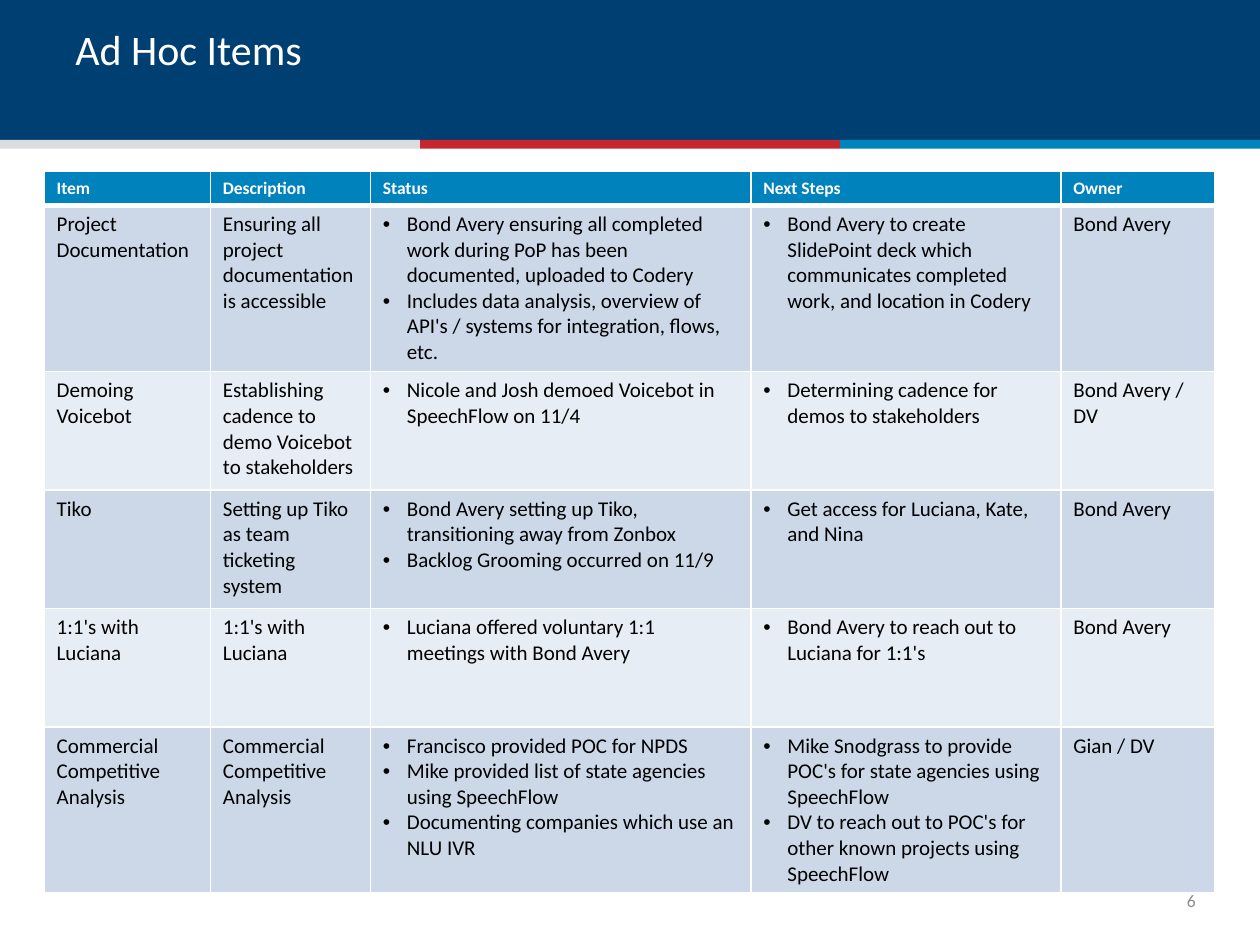
from dataclasses import dataclass

from lxml import etree
from pptx import Presentation
from pptx.dml.color import RGBColor
from pptx.enum.shapes import MSO_SHAPE
from pptx.enum.text import MSO_ANCHOR, PP_ALIGN
from pptx.oxml.ns import qn
from pptx.util import Inches, Pt

RECT = MSO_SHAPE.RECTANGLE
TOP, MIDDLE = MSO_ANCHOR.TOP, MSO_ANCHOR.MIDDLE
LEFT, RIGHT = PP_ALIGN.LEFT, PP_ALIGN.RIGHT

NAVY = RGBColor(0x00, 0x3F, 0x72)
SILVER = RGBColor(0xDB, 0xDC, 0xDE)
RED = RGBColor(0xC6, 0x26, 0x2D)
BLUE = RGBColor(0x00, 0x82, 0xBD)
WHITE = RGBColor(0xFF, 0xFF, 0xFF)
BLACK = RGBColor(0x00, 0x00, 0x00)
GRAY = RGBColor(0x8C, 0x8C, 0x8C)
BANDS = (RGBColor(0xCC, 0xD8, 0xE8), RGBColor(0xE7, 0xED, 0xF4))

FONT = "Calibri"
WIDE, HIGH = 10, 7.5
INDENT = Inches(0.19)
COLS = (1.32, 1.27, 3.02, 2.46, 1.22)
HEADS = ("Item", "Description", "Status", "Next Steps", "Owner")
HEAD_ROW = 0.27


@dataclass
class Entry:
    item: str
    about: list[str]
    status: list[str]
    steps: list[str]
    owner: str
    height: float = 0.94


ENTRIES = [
    Entry("Project Documentation",
          ["Ensuring all project documentation is accessible"],
          ["Bond Avery ensuring all completed work during PoP has been "
           "documented, uploaded to Codery",
           "Includes data analysis, overview of API's / systems for "
           "integration, flows, etc."],
          ["Bond Avery to create SlidePoint deck which communicates "
           "completed work, and location in Codery"],
          "Bond Avery", 1.32),
    Entry("Demoing Voicebot",
          ["Establishing cadence to demo Voicebot to stakeholders"],
          ["Nicole and Josh demoed Voicebot in SpeechFlow on 11/4"],
          ["Determining cadence for demos to stakeholders"],
          "Bond Avery / DV"),
    Entry("Tiko",
          ["Setting up Tiko as team ticketing system"],
          ["Bond Avery setting up Tiko, transitioning away from Zonbox",
           "Backlog Grooming occurred on 11/9"],
          ["Get access for Luciana, Kate, and Nina"],
          "Bond Avery"),
    Entry("1:1's with Luciana",
          ["1:1's with Luciana"],
          ["Luciana offered voluntary 1:1 meetings with Bond Avery"],
          ["Bond Avery to reach out to Luciana for 1:1's"],
          "Bond Avery"),
    Entry("Commercial Competitive Analysis",
          ["Commercial", "Competitive", "Analysis"],
          ["Francisco provided POC for NPDS",
           "Mike provided list of state agencies using SpeechFlow",
           "Documenting companies which use an NLU IVR"],
          ["Mike Snodgrass to provide POC's for state agencies using "
           "SpeechFlow",
           "DV to reach out to POC's for other known projects using "
           "SpeechFlow"],
          "Gian / DV", 1.32),
]


def bar(slide, x: float, y: float, w: float, h: float, color: RGBColor):
    shape = slide.shapes.add_shape(RECT, *map(Inches, (x, y, w, h)))
    shape.shadow.inherit = False
    shape.fill.solid()
    shape.fill.fore_color.rgb = color
    shape.line.fill.background()


def style(para, size: float, color: RGBColor, bold: bool = False):
    for run in para.runs:
        run.font.name = FONT
        run.font.size = Pt(size)
        run.font.bold = bold
        run.font.color.rgb = color


def label(slide, text: str, box: tuple, size: float, color: RGBColor,
          align=LEFT, anchor=TOP, inset: float | None = None):
    frame = slide.shapes.add_textbox(*map(Inches, box)).text_frame
    frame.word_wrap = True
    frame.vertical_anchor = anchor
    if inset is not None:
        frame.margin_left = frame.margin_right = Inches(inset)
        frame.margin_top = frame.margin_bottom = Inches(inset)
    frame.text = text
    frame.paragraphs[0].alignment = align
    style(frame.paragraphs[0], size, color)


def border(cell, top: float, bottom: float):
    props = cell._tc.get_or_add_tcPr()
    for tag, width in (("lnL", 1), ("lnR", 1), ("lnT", top), ("lnB", bottom)):
        line = etree.SubElement(props, qn(f"a:{tag}"), w=str(Pt(width)))
        fill = etree.SubElement(line, qn("a:solidFill"))
        etree.SubElement(fill, qn("a:srgbClr"), val=str(WHITE))


def bullet(para):
    props = para._p.get_or_add_pPr()
    props.set("marL", str(INDENT))
    props.set("indent", str(-INDENT))
    etree.SubElement(props, qn("a:buFont"), typeface="Arial")
    etree.SubElement(props, qn("a:buChar"), char="•")


def fill_cell(cell, lines: list[str], back: RGBColor, size: float,
              color: RGBColor, bold: bool = False, dots: bool = False,
              top: float = 1, bottom: float = 1):
    border(cell, top, bottom)
    cell.fill.solid()
    cell.fill.fore_color.rgb = back
    cell.text_frame.text = "\n".join(lines)
    for para in cell.text_frame.paragraphs:
        style(para, size, color, bold)
        if dots:
            bullet(para)


def draw_table(slide):
    high = HEAD_ROW + sum(entry.height for entry in ENTRIES)
    box = map(Inches, (0.35, 1.36, sum(COLS), high))
    table = slide.shapes.add_table(len(ENTRIES) + 1, len(COLS), *box).table
    for col, width in zip(table.columns, COLS):
        col.width = Inches(width)
    table.rows[0].height = Inches(HEAD_ROW)
    for c, head in enumerate(HEADS):
        fill_cell(table.cell(0, c), [head], BLUE, 10, WHITE, bold=True,
                  bottom=3)
    for r, entry in enumerate(ENTRIES, 1):
        table.rows[r].height = Inches(entry.height)
        parts = ([entry.item], entry.about, entry.status, entry.steps,
                 [entry.owner])
        for c, lines in enumerate(parts):
            fill_cell(table.cell(r, c), lines, BANDS[(r - 1) % 2], 12, BLACK,
                      dots=c in (2, 3), top=3 if r == 1 else 1)


def main():
    deck = Presentation()
    deck.slide_width, deck.slide_height = Inches(WIDE), Inches(HIGH)
    slide = deck.slides.add_slide(deck.slide_layouts[6])

    # Banner with a three-colour stripe
    bar(slide, 0, 0, WIDE, 1.14, NAVY)
    third = WIDE / 3
    for i, color in enumerate((SILVER, RED, BLUE)):
        bar(slide, i * third, 1.11, third, 0.07, color)
    label(slide, "Ad Hoc Items", (0.5, 0.14, 9, 0.89), 24, WHITE)

    # Page number and item table
    label(slide, "6", (9.22, 6.95, 0.27, 0.4), 10, GRAY, RIGHT, MIDDLE, 0)
    draw_table(slide)
    deck.save("out.pptx")


if __name__ == "__main__":
    main()
